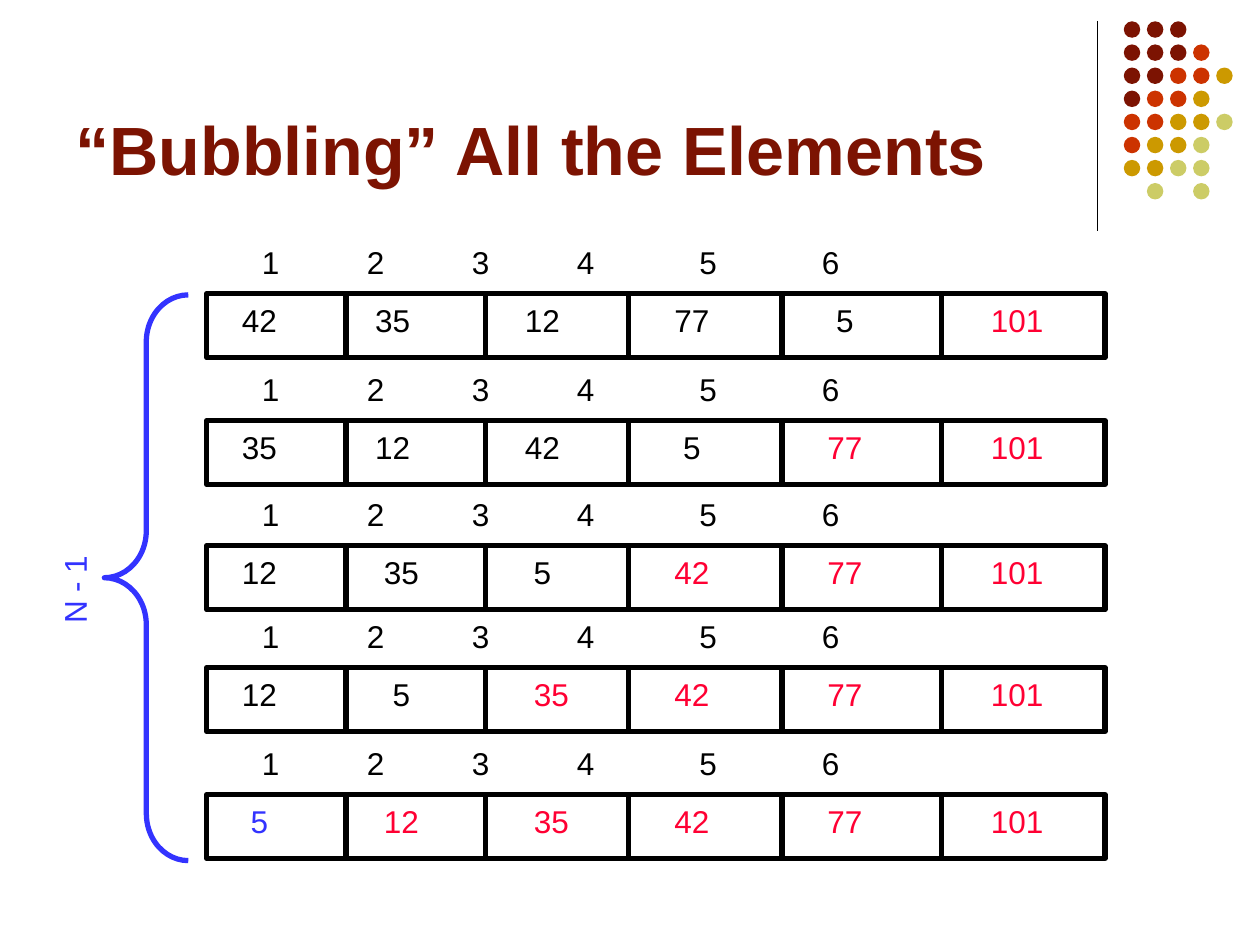
import dataclasses

import lxml.etree
import pptx
import pptx.dml.color
import pptx.enum.shapes
import pptx.enum.text
import pptx.oxml.ns
import pptx.util

Pt = pptx.util.Pt
Shape = pptx.enum.shapes.MSO_SHAPE
Align = pptx.enum.text.PP_ALIGN


@dataclasses.dataclass(frozen=True)
class Theme:
    font: str = "Arial"
    head: int = 39
    body: int = 18
    ink: str = "000000"
    done: str = "FF0033"
    blue: str = "3333FF"
    dark: str = "7C1302"
    rust: str = "CC3300"
    gold: str = "CC9900"
    lime: str = "CCCC66"
    thin: float = 0.75
    thick: float = 3


THEME = Theme()
DOTS = ["ddd", "dddr", "ddrrg", "drrg", "rrggl", "rggl", "ggll", " l l"]
TINTS = {"d": THEME.dark, "r": THEME.rust, "g": THEME.gold, "l": THEME.lime}

PASSES = [
    [42, 35, 12, 77, 5, 101],
    [35, 12, 42, 5, 77, 101],
    [12, 35, 5, 42, 77, 101],
    [12, 5, 35, 42, 77, 101],
    [5, 12, 35, 42, 77, 101],
]
TOPS = [167.8, 240.3, 311.8, 381.5, 454]
LEFT, WIDTH, HIGH = 118.2, 513.2, 36.6
WALLS = [197.8, 277.6, 359.3, 446.8, 537.8]
MIDS = [148.2, 224.4, 310, 395.4, 482.8, 581.2]
STOPS = [60, 120, 180, 250, 320]
NUDGE = 5


def paint(color):
    return pptx.dml.color.RGBColor.from_string(color)


def add_text(shapes, box, text, color, size=THEME.body, bold=False, align=Align.LEFT, stops=()):
    shape = shapes.add_textbox(*map(Pt, box))
    frame = shape.text_frame
    frame.word_wrap = bool(stops)
    para = frame.paragraphs[0]
    para.text = text
    para.alignment = align
    if stops:
        tag = pptx.oxml.ns.qn
        tabs = lxml.etree.SubElement(para._p.get_or_add_pPr(), tag("a:tabLst"))
        for stop in stops:
            lxml.etree.SubElement(tabs, tag("a:tab"), pos=str(Pt(stop)), algn="l")
    font = para.font
    font.name = THEME.font
    font.size = Pt(size)
    font.bold = bold
    font.color.rgb = paint(color)
    return shape


def add_form(shapes, kind, box, fill=None, line=None):
    shape = shapes.add_shape(kind, *map(Pt, box))
    shape.shadow.inherit = False
    if fill:
        shape.fill.solid()
        shape.fill.fore_color.rgb = paint(fill)
    else:
        shape.fill.background()
    if line:
        shape.line.color.rgb = paint(line)
        shape.line.width = Pt(THEME.thick)
    else:
        shape.line.fill.background()
    return shape


def add_rule(shapes, x, top, end, width):
    rule = shapes.add_connector(
        pptx.enum.shapes.MSO_CONNECTOR.STRAIGHT, Pt(x), Pt(top), Pt(x), Pt(end))
    rule.line.color.rgb = paint(THEME.ink)
    rule.line.width = Pt(width)
    lxml.etree.SubElement(rule._element.spPr, pptx.oxml.ns.qn("a:effectLst"))


def add_dots(shapes):
    group = shapes.add_group_shape().shapes
    left, top, step, size = 642.2, 12.2, 13.2, 9.4
    for row, marks in enumerate(DOTS):
        for col, mark in enumerate(marks):
            if mark in TINTS:
                box = (left + col * step, top + row * step, size, size)
                add_form(group, Shape.OVAL, box, fill=TINTS[mark])


def tint(row, col):
    if col >= len(MIDS) - 1 - row:
        return THEME.done
    return THEME.blue if row == len(PASSES) - 1 else THEME.ink


def add_pass(shapes, row):
    group = shapes.add_group_shape().shapes
    top = TOPS[row]
    add_form(group, Shape.RECTANGLE, (LEFT, top, WIDTH, HIGH), line=THEME.ink)
    for x in WALLS:
        add_rule(group, x, top, top + HIGH, THEME.thick)
    marks = "\t".join(str(n + 1) for n in range(len(MIDS)))
    add_text(group, (142.6, top - 32.4, 452, 36), marks, THEME.ink, stops=STOPS)
    for col, (mid, value) in enumerate(zip(MIDS, PASSES[row])):
        if col in (1, 2) and row > col:
            mid += NUDGE
        add_text(group, (mid - 24, top + 0.6, 48, 36), str(value),
                 tint(row, col), align=Align.CENTER)


def add_brace(shapes):
    group = shapes.add_group_shape().shapes
    brace = add_form(group, Shape.LEFT_BRACE, (59.6, 168.5, 48, 323.3), line=THEME.blue)
    brace.adjustments[0] = 0.56
    brace.adjustments[1] = 0.5
    label = add_text(group, (13, 312.5, 66.2, 36), "N - 1", THEME.blue)
    label.rotation = 270


def main():
    deck = pptx.Presentation()
    deck.slide_width, deck.slide_height = Pt(720), Pt(540)
    shapes = deck.slides.add_slide(deck.slide_layouts[6]).shapes
    add_rule(shapes, 627, 12, 132, THEME.thin)
    add_dots(shapes)
    title = add_text(shapes, (36, 9.4, 594, 102), "“Bubbling” All the Elements",
                     THEME.dark, THEME.head, bold=True)
    title.text_frame.word_wrap = True
    title.text_frame.vertical_anchor = pptx.enum.text.MSO_ANCHOR.BOTTOM
    for row in range(len(PASSES)):
        add_pass(shapes, row)
    add_brace(shapes)
    deck.save("out.pptx")


if __name__ == "__main__":
    main()
